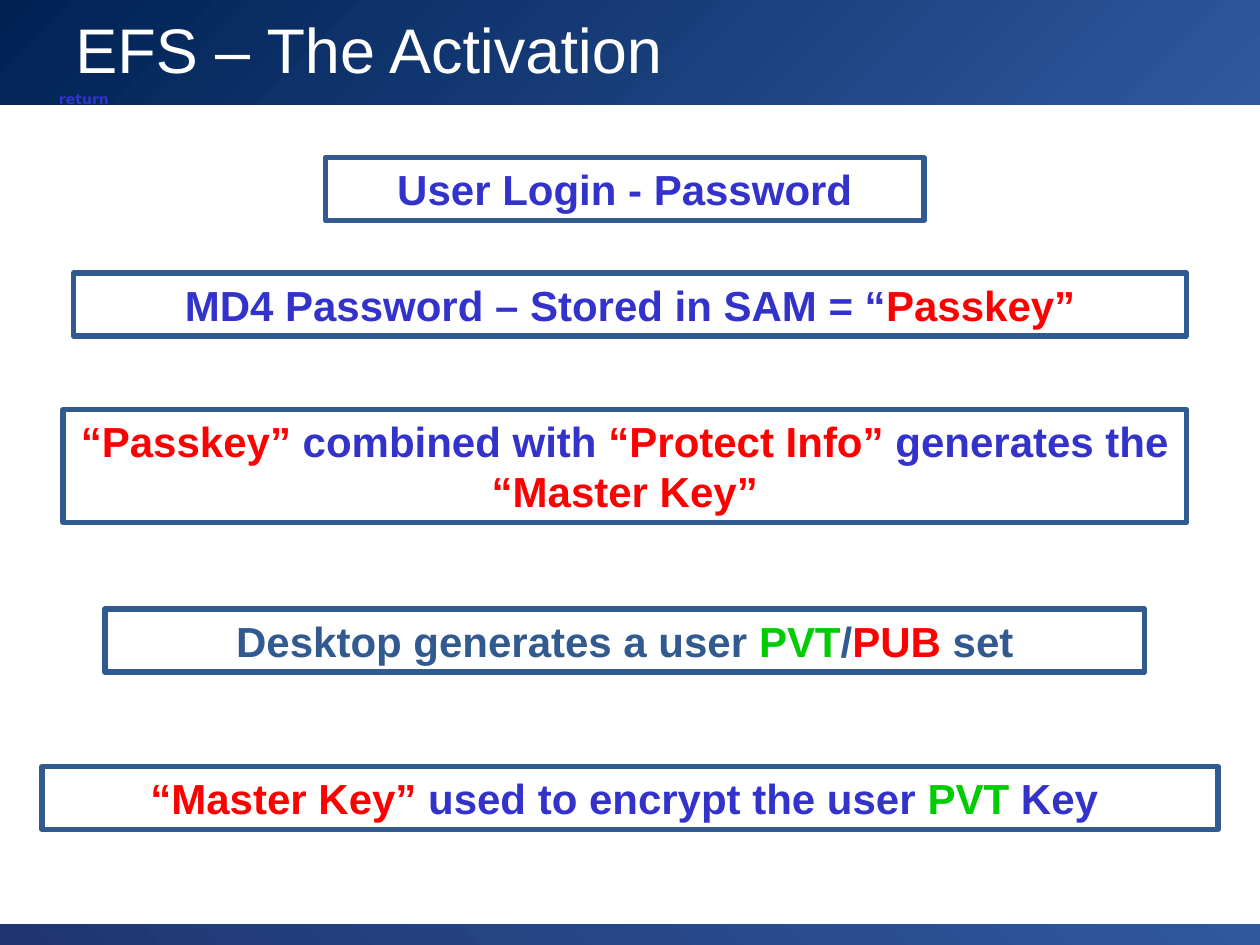
from dataclasses import dataclass

from pptx import Presentation
from pptx.dml.color import RGBColor
from pptx.enum.shapes import MSO_SHAPE as Shape
from pptx.enum.text import MSO_ANCHOR as Anchor, MSO_AUTO_SIZE as AutoSize, PP_ALIGN as Align
from pptx.util import Emu, Pt


@dataclass(frozen=True)
class Theme:
    white: str = "FFFFFF"
    steel: str = "315A91"
    blue: str = "3333CC"
    red: str = "FF0000"
    green: str = "00CC00"
    header: tuple = ("002253", "2F589F")
    footer: tuple = ("203570", "2F589F")
    font: str = "Arial"
    link_font: str = "DejaVu Sans"
    title_size: int = 36
    step_size: int = 24
    link_size: int = 8
    border: int = 3


def px(length):
    return Emu(length * 9525)


def rgb(code):
    return RGBColor.from_string(code)


class Slide:
    """Draws the elements of one slide in one theme."""

    def __init__(self, deck, theme):
        self.theme = theme
        self.shapes = deck.slides.add_slide(deck.slide_layouts[6]).shapes

    def rectangle(self, bounds):
        box = self.shapes.add_shape(Shape.RECTANGLE, *map(px, bounds))
        box.shadow.inherit = False
        return box

    def bar(self, bounds, colours, angle):
        band = self.rectangle(bounds)
        band.line.fill.background()
        band.fill.gradient()
        band.fill.gradient_angle = angle
        for stop, colour in zip(band.fill.gradient_stops, colours):
            stop.color.rgb = rgb(colour)

    def fill_text(self, box, runs, size, font, align, anchor, bold=True):
        frame = box.text_frame
        frame.word_wrap = True
        frame.vertical_anchor = anchor
        paragraph = frame.paragraphs[0]
        paragraph.alignment = align
        paragraph.font.size = Pt(size)
        paragraph.font.name = font
        paragraph.font.bold = bold
        for text, colour in runs:
            run = paragraph.add_run()
            run.text = text
            run.font.color.rgb = rgb(colour)
        return paragraph

    def title(self, bounds, text):
        heading = self.shapes.add_textbox(*map(px, bounds))
        paragraph = self.fill_text(heading, [(text, self.theme.white)], self.theme.title_size,
                                   self.theme.font, Align.LEFT, Anchor.MIDDLE, bold=False)
        paragraph.line_spacing = 0.7

    def link(self, bounds, text):
        label = self.shapes.add_textbox(*map(px, bounds))
        paragraph = self.fill_text(label, [(text, self.theme.blue)], self.theme.link_size,
                                   self.theme.link_font, Align.CENTER, Anchor.TOP)
        paragraph.space_before = Pt(5)

    def step(self, bounds, runs, space_before=15):
        box = self.rectangle(bounds)
        box.fill.solid()
        box.fill.fore_color.rgb = rgb(self.theme.white)
        box.line.color.rgb = rgb(self.theme.steel)
        box.line.width = Pt(self.theme.border)
        paragraph = self.fill_text(box, runs, self.theme.step_size, self.theme.font,
                                   Align.CENTER, Anchor.BOTTOM)
        paragraph.space_before = Pt(space_before)
        box.text_frame.auto_size = AutoSize.SHAPE_TO_FIT_TEXT


def main():
    deck = Presentation()
    deck.slide_width, deck.slide_height = px(960), px(720)
    theme = Theme()
    blue, red, green, steel = theme.blue, theme.red, theme.green, theme.steel
    slide = Slide(deck, theme)

    slide.bar((0, 0, 960, 80), theme.header, 315)
    slide.bar((0, 704, 960, 16), theme.footer, 45)
    slide.title((48, 16, 784, 56), "EFS – The Activation")

    slide.step((248, 120, 456, 48), [("User Login - Password", blue)])
    slide.step((56, 208, 848, 48),
               [("MD4 Password – Stored in SAM = “", blue), ("Passkey”", red)])
    slide.step((48, 312, 856, 86),
               [("“Passkey” ", red), ("combined with ", blue), ("“Protect Info” ", red),
                ("generates the", blue), (" “Master Key”", red)])
    slide.step((32, 584, 896, 48),
               [("“Master Key” ", red), ("used to encrypt the user ", blue),
                ("PVT", green), (" Key ", blue)])
    slide.link((32, 64, 64, 23), "return")
    slide.step((80, 464, 792, 48),
               [("Desktop generates a user ", steel), ("PVT", green), ("/", steel),
                ("PUB", red), (" set", steel)], space_before=0)

    deck.save("out.pptx")


if __name__ == "__main__":
    main()
